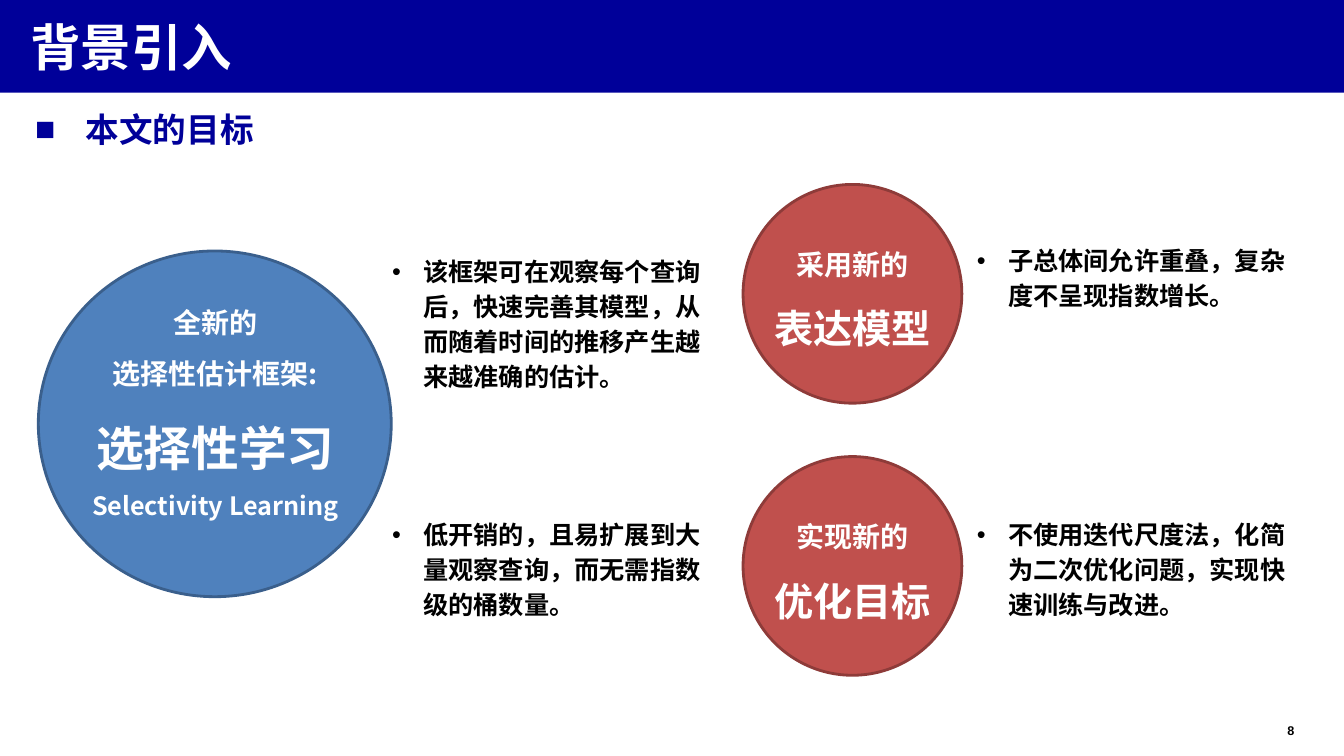
"""Build the background slide on the goals of selectivity learning."""
from dataclasses import dataclass

from lxml.etree import SubElement
from pptx import Presentation
from pptx.dml.color import RGBColor
from pptx.enum.shapes import MSO_SHAPE
from pptx.enum.text import PP_ALIGN
from pptx.oxml.ns import qn
from pptx.util import Inches, Length, Pt

COLORS = {
    "navy": "000099",
    "white": "FFFFFF",
    "black": "000000",
    "blue": "4F81BD",
    "blue edge": "3A5F8C",
    "red": "C0504D",
    "red edge": "8E3B39",
}
LATIN_FONT = "Arial"
CHINESE_FONT = "Noto Sans CJK SC"


@dataclass(frozen=True)
class Area:
    """A rectangle in percent of the slide's width and height."""

    left: float
    top: float
    width: float
    height: float


@dataclass(frozen=True)
class Line:
    """One paragraph of text and its look."""

    text: str
    size: int
    color: str
    font: str = CHINESE_FONT
    align: PP_ALIGN = PP_ALIGN.LEFT
    spacing: float | Length = 1.0
    bullet: str = ""
    indent: float = 0


@dataclass(frozen=True)
class Circle:
    """A filled circle with a centred label over it."""

    area: Area
    color: str
    label_area: Area
    label: tuple[tuple[str, int], ...]


@dataclass(frozen=True)
class Note:
    """A bulleted remark beside a circle."""

    area: Area
    text: str


RED_TOPS = (24.4, 60.4)
RED_LABELS = (("采用新的", "表达模型"), ("实现新的", "优化目标"))

CIRCLES = [
    Circle(
        Area(2.85, 33.2, 26.26, 45.73),
        "blue",
        Area(1.28, 37.6, 29.48, 32.4),
        (("全新的", 20), ("选择性估计框架:", 20), ("选择性学习", 34), ("Selectivity Learning", 18)),
    )
] + [
    Circle(
        Area(55.29, top, 16.28, 28.93),
        "red",
        Area(48.69, top + 5.47, 29.48, 16.4),
        ((lead, 20), (goal, 28)),
    )
    for top, (lead, goal) in zip(RED_TOPS, RED_LABELS)
]

NOTES = [
    Note(
        Area(28.43, 32.67, 26.26, 19.47),
        "该框架可在观察每个查询后，快速完善其模型，从而随着时间的推移产生越来越准确的估计。",
    ),
    Note(
        Area(28.43, 67.47, 25.28, 14.8),
        "低开销的，且易扩展到大量观察查询，而无需指数级的桶数量。",
    ),
    Note(Area(71.94, 31.2, 24.68, 10.13), "子总体间允许重叠，复杂度不呈现指数增长。"),
    Note(
        Area(71.94, 67.47, 24.68, 14.8),
        "不使用迭代尺度法，化简为二次优化问题，实现快速训练与改进。",
    ),
]


def place(presentation, area: Area) -> tuple[int, int, int, int]:
    """Turn an area into slide lengths."""
    width, height = presentation.slide_width, presentation.slide_height
    return (
        round(width * area.left / 100),
        round(height * area.top / 100),
        round(width * area.width / 100),
        round(height * area.height / 100),
    )


def write_line(paragraph, line: Line) -> None:
    """Fill a paragraph with a line and format it."""
    paragraph.text = line.text
    paragraph.alignment = line.align
    paragraph.line_spacing = line.spacing
    properties = paragraph._p.get_or_add_pPr()
    if line.indent:
        properties.set("marL", str(Inches(line.indent)))
    if line.bullet:
        properties.set("indent", str(-Inches(line.indent)))
        SubElement(properties, qn("a:buFont"), typeface=LATIN_FONT)
        SubElement(properties, qn("a:buChar"), char=line.bullet)
    font = paragraph.font
    font.size = Pt(line.size)
    font.bold = True
    font.color.rgb = RGBColor.from_string(COLORS[line.color])
    font.name = line.font
    SubElement(font._element, qn("a:ea"), typeface=line.font)


def add_text(presentation, slide, area: Area, lines: list[Line], inset: bool = True) -> None:
    """Add a wrapped text box holding the lines."""
    frame = slide.shapes.add_textbox(*place(presentation, area)).text_frame
    frame.word_wrap = True
    if not inset:
        frame.margin_left = frame.margin_right = 0
        frame.margin_top = frame.margin_bottom = 0
    for index, line in enumerate(lines):
        write_line(frame.add_paragraph() if index else frame.paragraphs[0], line)


def add_filled(presentation, slide, kind: MSO_SHAPE, area: Area, color: str):
    """Add a flat shape without an outline."""
    shape = slide.shapes.add_shape(kind, *place(presentation, area))
    shape.shadow.inherit = False
    shape.fill.solid()
    shape.fill.fore_color.rgb = RGBColor.from_string(COLORS[color])
    shape.line.fill.background()
    return shape


def add_circle(presentation, slide, circle: Circle) -> None:
    """Add an outlined circle and its label."""
    shape = add_filled(presentation, slide, MSO_SHAPE.OVAL, circle.area, circle.color)
    shape.line.color.rgb = RGBColor.from_string(COLORS[f"{circle.color} edge"])
    shape.line.width = Pt(2)
    lines = [
        Line(text, size, "white", align=PP_ALIGN.CENTER, spacing=1.5)
        for text, size in circle.label
    ]
    add_text(presentation, slide, circle.label_area, lines)


def main() -> None:
    """Build and save the slide."""
    presentation = Presentation()
    presentation.slide_width = Inches(13.33)
    presentation.slide_height = Inches(7.5)
    slide = presentation.slides.add_slide(presentation.slide_layouts[6])

    add_filled(presentation, slide, MSO_SHAPE.RECTANGLE, Area(0, 0, 100, 12.27), "navy")
    title = Line("背景引入", 36, "white", LATIN_FONT, indent=0.05)
    add_text(presentation, slide, Area(1.88, 2.13, 43.14, 8.13), [title], inset=False)
    number = Line("8", 9, "black", LATIN_FONT, indent=0.03)
    add_text(presentation, slide, Area(95.57, 95.6, 1.95, 2), [number], inset=False)
    heading = Line("本文的目标", 24, "navy", bullet="■", indent=0.5)
    add_text(presentation, slide, Area(1.88, 13.73, 41.26, 6.67), [heading])

    for circle in CIRCLES:
        add_circle(presentation, slide, circle)
    for note in NOTES:
        remark = Line(note.text, 18, "black", spacing=Pt(25), bullet="•", indent=0.31)
        add_text(presentation, slide, note.area, [remark])
    presentation.save("out.pptx")


if __name__ == "__main__":
    main()
